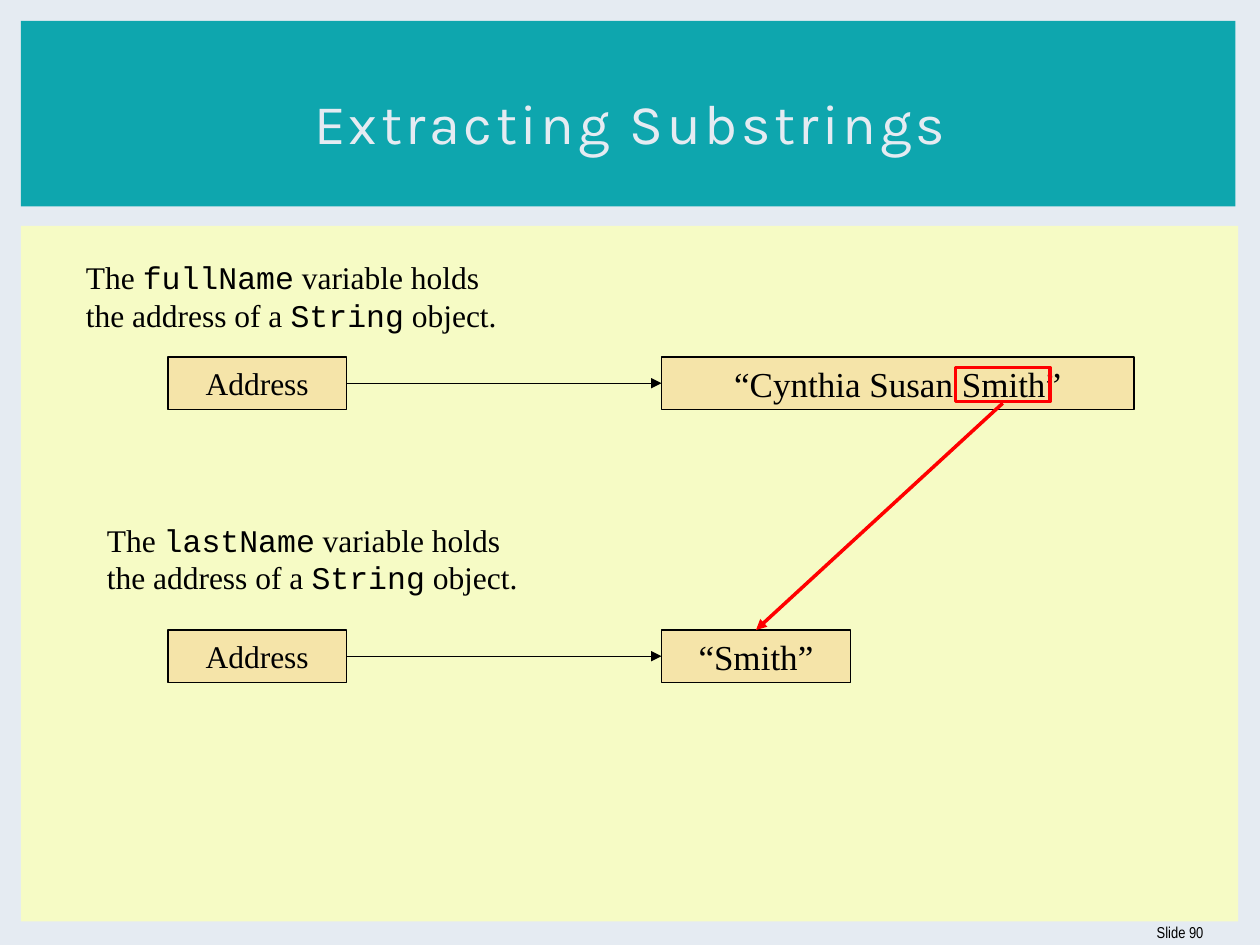
from dataclasses import dataclass

from lxml.etree import SubElement
from pptx import Presentation
from pptx.dml.color import RGBColor
from pptx.enum.shapes import MSO_CONNECTOR as Connector, MSO_SHAPE as Shape
from pptx.enum.text import MSO_ANCHOR as Anchor, PP_ALIGN as Align
from pptx.oxml.ns import qn
from pptx.util import Pt


@dataclass(frozen=True)
class Theme:
    background: str = "E5EBF2"
    banner: str = "0EA6AE"
    panel: str = "F6FBC5"
    box: str = "F5E4A9"
    ink: str = "000000"
    accent: str = "FF0000"
    title_font: str = "Karla"
    body_font: str = "Times New Roman"
    code_font: str = "Courier New"
    footer_font: str = "Arial Narrow"
    title_size: float = 32
    object_size: float = 20
    body_size: float = 18
    footer_size: float = 9
    thin: float = 0.75
    thick: float = 2


THEME = Theme()


def add_text(paragraph, text, font=THEME.body_font, size=THEME.body_size,
             color=THEME.ink, spacing=0):
    run = paragraph.add_run()
    run.text = text
    run.font.name = font
    run.font.size = Pt(size)
    run.font.color.rgb = RGBColor.from_string(color)
    if spacing:
        run._r.get_or_add_rPr().set("spc", str(spacing * 100))


class SlideBuilder:
    def __init__(self, slide, theme):
        self.slide = slide
        self.theme = theme
        slide.background.fill.solid()
        slide.background.fill.fore_color.rgb = RGBColor.from_string(theme.background)

    def rectangle(self, left, top, width, height, fill=None, line=None, weight=0):
        shape = self.slide.shapes.add_shape(
            Shape.RECTANGLE, Pt(left), Pt(top), Pt(width), Pt(height))
        shape.shadow.inherit = False
        if fill:
            shape.fill.solid()
            shape.fill.fore_color.rgb = RGBColor.from_string(fill)
        else:
            shape.fill.background()
        if line:
            shape.line.color.rgb = RGBColor.from_string(line)
            shape.line.width = Pt(weight)
        else:
            shape.line.fill.background()
        return shape

    def box(self, left, top, width, height, text, size):
        shape = self.rectangle(left, top, width, height, self.theme.box,
                               self.theme.ink, self.theme.thin)
        frame = shape.text_frame
        frame.word_wrap = False
        frame.vertical_anchor = Anchor.MIDDLE
        frame.paragraphs[0].alignment = Align.CENTER
        add_text(frame.paragraphs[0], text, size=size)

    def text_box(self, left, top, width, height, align=Align.LEFT, anchor=Anchor.TOP):
        frame = self.slide.shapes.add_textbox(
            Pt(left), Pt(top), Pt(width), Pt(height)).text_frame
        frame.word_wrap = True
        frame.vertical_anchor = anchor
        frame.paragraphs[0].alignment = align
        return frame.paragraphs[0]

    def variable_note(self, left, top, width, variable):
        paragraph = self.text_box(left, top, width, 50)
        code = self.theme.code_font
        add_text(paragraph, "The ")
        add_text(paragraph, variable, font=code)
        add_text(paragraph, " variable holds the address of a ")
        add_text(paragraph, "String", font=code)
        add_text(paragraph, " object.")

    def arrow(self, start, end, color, weight):
        connector = self.slide.shapes.add_connector(
            Connector.STRAIGHT, *(Pt(value) for value in (*start, *end)))
        connector.line.color.rgb = RGBColor.from_string(color)
        connector.line.width = Pt(weight)
        SubElement(connector.line._get_or_add_ln(), qn("a:tailEnd"), type="triangle")
        SubElement(connector._element.spPr, qn("a:effectLst"))


def main():
    presentation = Presentation()
    presentation.slide_width, presentation.slide_height = Pt(720), Pt(540)
    slide = presentation.slides.add_slide(presentation.slide_layouts[6])
    builder = SlideBuilder(slide, THEME)

    # Panel, banner and slide number
    builder.rectangle(12, 129, 695.5, 397.5, THEME.panel)
    builder.rectangle(12, 12, 694, 106, THEME.banner)
    footer = builder.text_box(648.7, 522, 46, 21.6, Align.RIGHT, Anchor.MIDDLE)
    add_text(footer, "Slide 90", font=THEME.footer_font, size=THEME.footer_size)

    # Title
    title = builder.text_box(30, 28, 660, 83, Align.CENTER, Anchor.MIDDLE)
    add_text(title, "Extracting Substrings", font=THEME.title_font,
             size=THEME.title_size, color=THEME.background, spacing=2)

    # Each variable: note, address box, arrow and String object
    address_left, address_width, object_left, box_height = 96, 102, 378, 30
    variables = [
        ("fullName", (42, 144, 264), 204, 270, "“Cynthia Susan Smith”"),
        ("lastName", (54, 294, 258), 360, 108, "“Smith”"),
    ]
    for variable, note_place, top, object_width, value in variables:
        builder.variable_note(*note_place, variable)
        builder.box(address_left, top, address_width, box_height,
                    "Address", THEME.body_size)
        builder.box(object_left, top, object_width, box_height,
                    value, THEME.object_size)
        middle = top + box_height / 2
        builder.arrow((address_left + address_width, middle), (object_left, middle),
                      THEME.ink, THEME.thin)

    # Extracted substring
    builder.rectangle(546, 210, 54, 19.5, line=THEME.accent, weight=THEME.thick)
    builder.arrow((573, 230.4), (432, 360), THEME.accent, THEME.thick)

    presentation.save("out.pptx")


if __name__ == "__main__":
    main()
